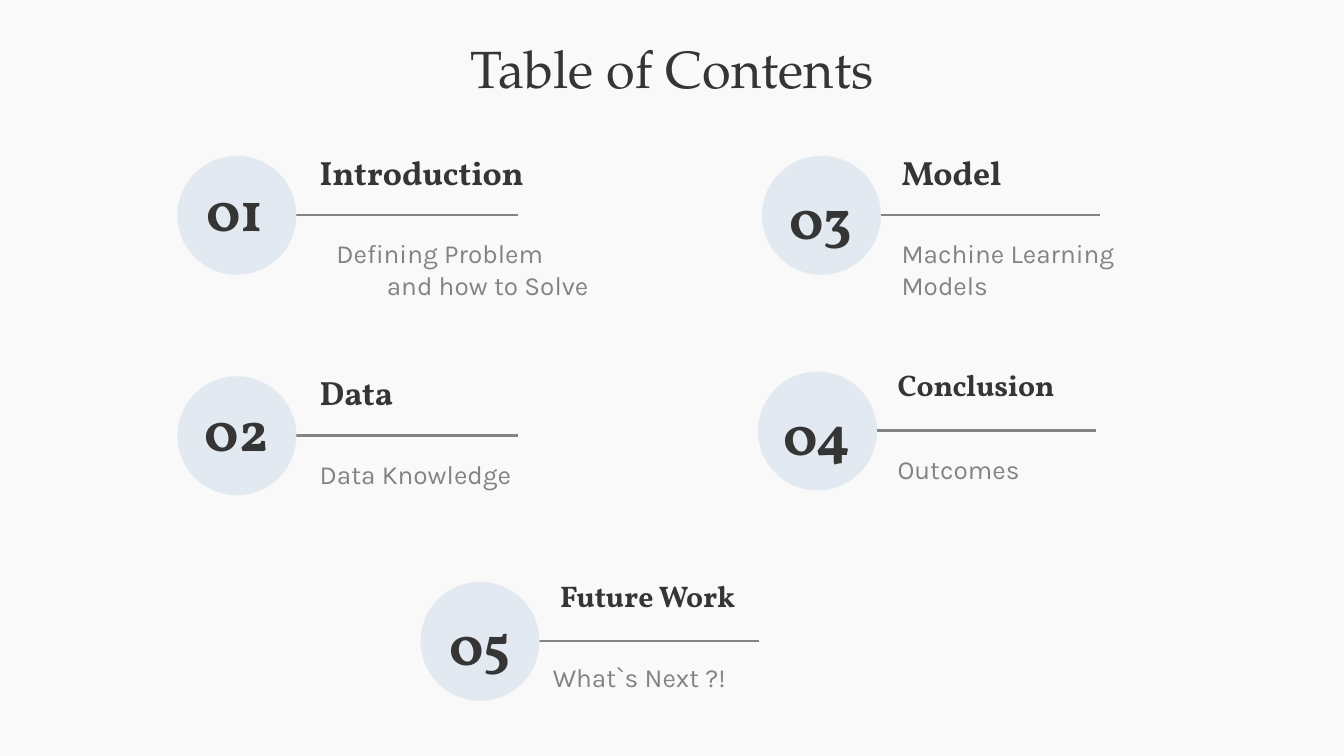
from dataclasses import dataclass

from lxml import etree
from pptx import Presentation, util as u
from pptx.dml.color import RGBColor
from pptx.enum import shapes, text
from pptx.oxml import ns

COLS, ROWS = 100, 56.25  # square grid cells
CELL = u.Inches(0.1)


@dataclass(frozen=True)
class Theme:
    back: str = "F9F9F9"
    ink: str = "353535"
    grey: str = "838383"
    disc: str = "E2E9F1"
    title: str = "TeX Gyre Pagella"
    head: str = "Vollkorn"
    body: str = "Karla"
    title_size: int = 28
    num_size: int = 30
    head_size: int = 18
    small_size: int = 16
    body_size: int = 14
    rule: float = 1.5


T = Theme()


def grid(*cells):
    return [round(c * CELL) for c in cells]


def color(code):
    return RGBColor.from_string(code)


def write(slide, box, words, font=T.body, size=T.body_size, ink=T.grey,
          bold=False, center=False, middle=False, after=0, lead=1, hang=None):
    """Place text in a grid box; hang is (left margin, first indent) in cells."""
    frame = slide.shapes.add_textbox(*grid(*box)).text_frame
    frame.word_wrap = True
    frame.margin_left = frame.margin_right = CELL
    frame.margin_top = frame.margin_bottom = CELL
    frame.vertical_anchor = text.MSO_ANCHOR.MIDDLE if middle else text.MSO_ANCHOR.TOP
    para = frame.paragraphs[0]
    para.alignment = text.PP_ALIGN.CENTER if center else text.PP_ALIGN.LEFT
    para.space_after = u.Pt(after)
    para.line_spacing = float(lead)
    if hang:
        left, first = grid(*hang)
        props = para._p.get_or_add_pPr()
        props.set("marL", str(left))
        props.set("indent", str(first))
    for i, part in enumerate(words.split("\n")):
        if i:
            para.add_line_break()
        run = para.add_run()
        run.text = part
        run.font.name, run.font.size, run.font.bold = font, u.Pt(size), bold
        run.font.color.rgb = color(ink)


def rule(slide, x, y, wide):
    line = slide.shapes.add_connector(
        shapes.MSO_CONNECTOR.STRAIGHT, *grid(x, y, x + wide, y))
    line.line.color.rgb = color(T.grey)
    line.line.width = u.Pt(T.rule)
    etree.SubElement(line._element.spPr, ns.qn("a:effectLst"))


def disc(slide, x, y, size):
    dot = slide.shapes.add_shape(shapes.MSO_SHAPE.OVAL, *grid(x, y, size, size))
    dot.shadow.inherit = False
    dot.fill.solid()
    dot.fill.fore_color.rgb = color(T.disc)
    dot.line.fill.background()


def entry(slide, x, y, num, head, body, size=T.head_size, head_dx=9.4,
          head_wide=20.7, body_at=(9.4, 5.1), body_wide=20.7, hang=None,
          num_at=(0.85, 2.4), center=True, num_after=10, rule_at=(8.55, 4.4)):
    """Place a numbered topic; x, y is the corner of its disc."""
    rule(slide, x + rule_at[0], y + rule_at[1], 16.6)
    disc(slide, x, y, 8.85)
    write(slide, (x + num_at[0], y + num_at[1], 7.1, 4.3), num, font=T.head,
          size=T.num_size, ink=T.ink, bold=True, center=center, middle=True,
          after=num_after)
    write(slide, (x + head_dx, y - 1.75, head_wide, 4.3), head, font=T.head,
          size=size, ink=T.ink, bold=True, after=16, lead=1.15)
    write(slide, (x + body_at[0], y + body_at[1], body_wide, 6.3), body,
          after=0 if hang else 16, hang=hang)


def contents(slide):
    fill = slide.background.fill
    fill.solid()
    fill.fore_color.rgb = color(T.back)
    write(slide, (7.8, 3.7, COLS - 2 * 7.8, 2.6), "Table of Contents",
          font=T.title, size=T.title_size, ink=T.ink, center=True, middle=True)

    left = dict(head_dx=9.6, body_at=(9.6, 5.1), num_after=0, rule_at=(8.75, 4.4))
    small = dict(size=T.small_size, head_wide=33.9)
    entry(slide, 13.2, 11.6, "01", "Introduction",
          "Defining Problem\nand how to Solve",
          num_at=(1.15, 1.8), center=False, body_wide=22.5, hang=(5, -3.75), **left)
    entry(slide, 13.2, 28, "02", "Data", "Data Knowledge", num_at=(0.85, 1.8), **left)
    entry(slide, 56.7, 11.6, "03", "Model", "Machine Learning Models")
    entry(slide, 56.4, 27.65, "04", "Conclusion", "Outcomes", **small)
    entry(slide, 31.3, 43.3, "05", "Future Work", "What`s Next ?!",
          body_at=(8.85, 4.9), **small)


def main():
    deck = Presentation()
    deck.slide_width, deck.slide_height = grid(COLS, ROWS)
    contents(deck.slides.add_slide(deck.slide_layouts[6]))
    deck.save("out.pptx")


if __name__ == "__main__":
    main()
